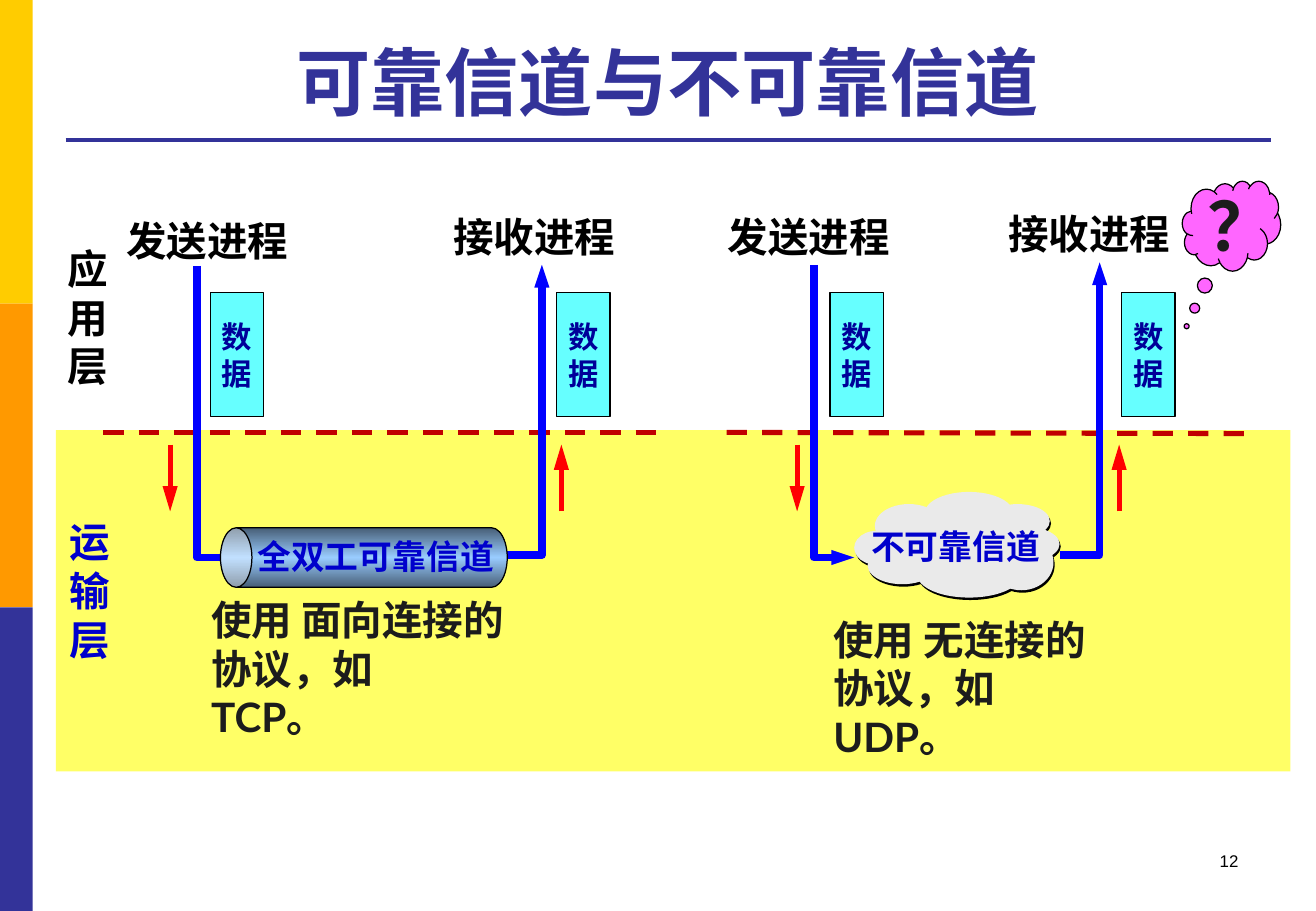
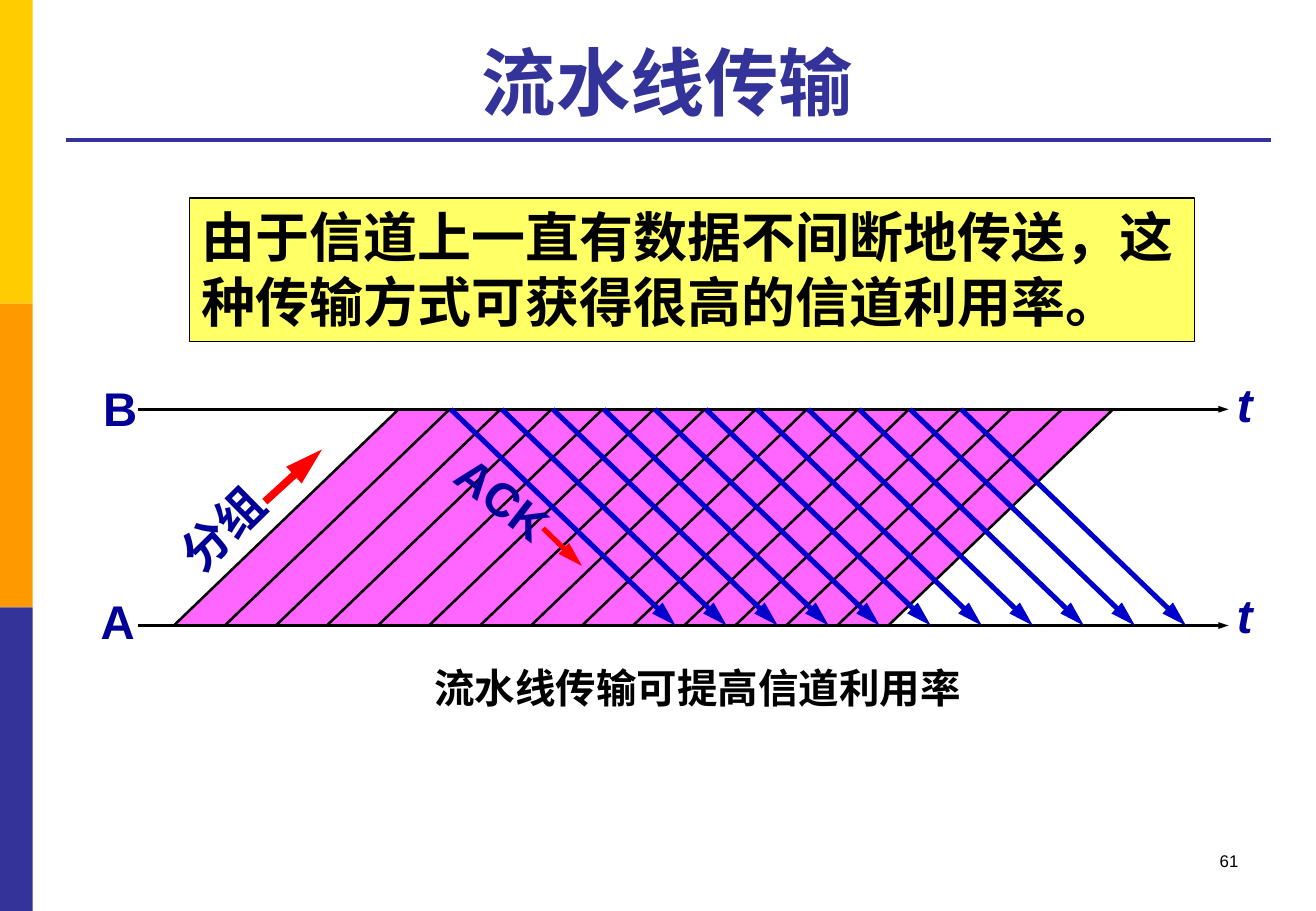
from copy import deepcopy

from pptx import Presentation
from pptx.dml.color import RGBColor
from pptx.enum.dml import MSO_LINE
from pptx.enum.shapes import MSO_CONNECTOR, MSO_SHAPE
from pptx.enum.text import MSO_ANCHOR, PP_ALIGN
from pptx.oxml.ns import qn
from pptx.util import Inches, Pt

RECT, OVAL, CAN = MSO_SHAPE.RECTANGLE, MSO_SHAPE.OVAL, MSO_SHAPE.CAN
THOUGHT = MSO_SHAPE.CLOUD_CALLOUT
STRAIGHT, DASH = MSO_CONNECTOR.STRAIGHT, MSO_LINE.DASH
LEFT, CENTER, RIGHT = PP_ALIGN.LEFT, PP_ALIGN.CENTER, PP_ALIGN.RIGHT
TOP, MIDDLE, BOTTOM = MSO_ANCHOR.TOP, MSO_ANCHOR.MIDDLE, MSO_ANCHOR.BOTTOM

BLACK, INK, INDIGO, NAVY = "000000", "1C1C1C", "333399", "000099"
ROYAL, BLUE, RED, CRIMSON = "0000CC", "0000FF", "FF0000", "C00000"
YELLOW, PINK, CYAN, MIST = "FFFF66", "FF66FF", "66FFFF", "EAEAEA"
STEEL, SKY = "475E76", "99CCFF"
BAND_COLORS = ["FFCC00", "FF9900", INDIGO]
BAND_WIDTH, BAND_HEIGHT = 0.27, 2.5
LONG_HEAD = {"type": "triangle", "w": "med", "len": "lg"}
SLIM_HEAD = {"type": "triangle", "w": "sm", "len": "med"}

LAYER_LABELS = [
    (["应", "用", "层"], (0.46, 1.96, 0.54, 1.31), BLACK),
    (["运", "输", "层"], (0.47, 4.21, 0.54, 1.31), ROYAL),
]
PROCESS_LABELS = [
    ("发送进程", 0.94, 1.73),
    ("接收进程", 3.63, 1.7),
    ("发送进程", 5.89, 1.7),
    ("接收进程", 8.2, 1.67),
]
PROTOCOL_NOTES = [
    (["使用 面向连接的", "协议，如 \vTCP。"], (1.64, 4.85, 2.67, 0.91)),
    (["使用 无连接的", "协议，如 \vUDP。"], (6.76, 5.01, 2.72, 0.91)),
]
BOUNDARIES = [((0.85, 3.56), (5.43, 3.56)), ((5.98, 3.56), (10.32, 3.57))]
DATA_ROUTES = [
    [(1.62, 2.19), (1.62, 4.59), (2.02, 4.59)],
    [(4.06, 4.57), (4.46, 4.57), (4.46, 2.18)],
    [(6.7, 2.18), (6.7, 4.59), (7.03, 4.59)],
    [(8.72, 4.57), (9.05, 4.57), (9.05, 2.16)],
]
DATA_LABEL = "数\v据"
DATA_LEFTS = [1.73, 4.58, 6.83, 9.23]
DOWN_ARROWS, UP_ARROWS = [1.4, 6.56], [4.62, 9.21]
ARROW_TOP, ARROW_BOTTOM = 3.66, 4.21
CLOUD_PUFFS = [
    (7.61, 4.05, 0.73, 0.35),
    (7.2, 4.15, 0.56, 0.36),
    (7.03, 4.37, 0.37, 0.28),
    (7.14, 4.5, 0.57, 0.31),
    (7.55, 4.55, 0.85, 0.37),
    (8.11, 4.15, 0.53, 0.28),
    (8.19, 4.34, 0.53, 0.28),
    (8.14, 4.4, 0.53, 0.46),
    (7.34, 4.26, 1.1, 0.46),
]
CLOUD_LAYERS = [(BLACK, 0.01, 0.02), (MIST, 0, 0)]

AXIS_B, AXIS_A = 3.37, 5.15
PACKET_COUNT, PACKET_START = 15, 1.43
ACK_COUNT, ACK_START = 11, 3.71
STEP, TRAVEL = 0.42, 1.85
PACKET_END = PACKET_START + (PACKET_COUNT - 1) * STEP
PACKET_AREA = [
    (PACKET_START, AXIS_A),
    (PACKET_START + TRAVEL, AXIS_B),
    (PACKET_END + TRAVEL, AXIS_B),
    (PACKET_END, AXIS_A),
]
AXIS_LABELS = [
    ("B", (0.75, 3.07, 0.49, 0.57), False),
    ("A", (0.73, 4.83, 0.49, 0.57), False),
    ("t", (10.08, 3.04, 0.33, 0.57), True),
    ("t", (10.08, 4.78, 0.33, 0.57), True),
]
TILTED_LABELS = [
    ("分组", (1.34, 4.06, 0.99, 0.57), 315.3),
    ("ACK", (3.62, 3.82, 1.05, 0.57), 37.8),
]
DIRECTION_ARROWS = [((2.18, 4.13), (2.65, 3.7), 4.5), ((4.47, 4.35), (4.79, 4.66), 3)]
BENEFIT = "由于信道上一直有数据不间断地传送，这种传输方式可获得很高的信道利用率。"
CAPTION = "流水线传输可提高信道利用率"


def rgb(value):
    return RGBColor.from_string(value)


def lengths(values):
    return [Inches(value) for value in values]


def write(shape, lines, size, color, font="Arial", bold=True, italic=False,
          align=LEFT, anchor=TOP, wrap=True):
    frame = shape.text_frame
    frame.word_wrap = wrap
    frame.vertical_anchor = anchor
    frame.text = "\n".join(lines)
    for para in frame.paragraphs:
        para.alignment = align
        for span in para.runs:
            span.font.name = font
            span.font.size = Pt(size)
            span.font.bold = bold
            span.font.italic = italic
            span.font.color.rgb = rgb(color)


def add_text(page, lines, at, size, color, **options):
    box = page.shapes.add_textbox(*lengths(at))
    write(box, lines, size, color, **options)
    return box


def paint(shape, fill=None, line=None, width=0.75):
    shape.shadow.inherit = False
    if fill:
        shape.fill.solid()
        shape.fill.fore_color.rgb = rgb(fill)
    else:
        shape.fill.background()
    if line:
        shape.line.color.rgb = rgb(line)
        shape.line.width = Pt(width)
    else:
        shape.line.fill.background()


def add_box(page, kind, at, fill, line=None):
    box = page.shapes.add_shape(kind, *lengths(at))
    paint(box, fill, line)
    return box


def point_at_end(shape, head):
    outline = shape.line._get_or_add_ln()
    outline.append(outline.makeelement(qn("a:tailEnd"), head))


def add_line(page, start, end, color, width, head=None, dash=None):
    line = page.shapes.add_connector(STRAIGHT, *lengths(start + end))
    line.line.color.rgb = rgb(color)
    line.line.width = Pt(width)
    if dash:
        line.line.dash_style = dash
    if head:
        point_at_end(line, head)
    properties = line._element.spPr
    properties.append(properties.makeelement(qn("a:effectLst"), {}))


def add_outline(page, points, closed, **colors):
    first, *others = [lengths(point) for point in points]
    builder = page.shapes.build_freeform(*first)
    builder.add_line_segments(others, close=closed)
    outline = builder.convert_to_shape()
    paint(outline, **colors)
    return outline


def add_page(deck, title, number):
    page = deck.slides.add_slide(deck.slide_layouts[6])
    for index, color in enumerate(BAND_COLORS):
        add_box(page, RECT, (0, index * BAND_HEIGHT, BAND_WIDTH, BAND_HEIGHT), color)
    add_line(page, (0.54, 1.15), (10.46, 1.15), INDIGO, 2.25)
    add_text(page, [title], (0.54, 0.21, 9.91, 0.87), 44, INDIGO,
             align=CENTER, anchor=BOTTOM)
    add_text(page, [number], (7.76, 6.95, 2.53, 0.5), 10, BLACK,
             bold=False, align=RIGHT)
    return page


def add_pipe(page):
    pipe = add_box(page, CAN, (2.75, 3.41, 0.49, 2.36), SKY, BLACK)
    pipe.rotation = 270
    pipe.adjustments[0] = 0.528
    pipe.fill.gradient()
    pipe.fill.gradient_angle = 0
    stop_list = pipe._element.spPr.find(".//" + qn("a:gsLst"))
    stop_list.append(deepcopy(stop_list[0]))
    stops = zip(pipe.fill.gradient_stops, (0, 0.5, 1), (STEEL, SKY, STEEL))
    for stop, position, color in stops:
        stop.position = position
        stop.color.rgb = rgb(color)
    add_text(page, ["全双工可靠信道"], (2.02, 4.36, 2.16, 0.43), 20, ROYAL,
             font="Lato", wrap=False)


def add_cloud(page):
    for color, shift_x, shift_y in CLOUD_LAYERS:
        for left, top, width, height in CLOUD_PUFFS:
            add_box(page, OVAL, (left + shift_x, top + shift_y, width, height), color)
    add_text(page, ["不可靠信道"], (7.07, 4.28, 1.61, 0.44), 20, ROYAL,
             font="Lato", wrap=False)


def build_channels(deck):
    page = add_page(deck, "可靠信道与不可靠信道", "12")
    add_box(page, RECT, (0.46, 3.54, 10.16, 2.81), YELLOW)
    thought = add_box(page, THOUGHT, (9.73, 1.49, 0.81, 0.74), PINK, BLACK)
    thought.adjustments[0], thought.adjustments[1] = -0.456, 1.116
    add_text(page, ["？"], (9.84, 1.47, 0.43, 0.77), 40, INK, font="Lato")
    for start, end in BOUNDARIES:
        add_line(page, start, end, CRIMSON, 3, dash=DASH)
    for lines, at, color in LAYER_LABELS:
        add_text(page, lines, at, 24, color, font="Lato", wrap=False)
    for points in DATA_ROUTES:
        route = add_outline(page, points, False, line=BLUE, width=4.5)
        point_at_end(route, SLIM_HEAD)
    add_pipe(page)
    add_cloud(page)
    for lines, at in PROTOCOL_NOTES:
        add_text(page, lines, at, 24, INK, font="Lato", wrap=False)
    for x in DOWN_ARROWS:
        add_line(page, (x, ARROW_TOP), (x, ARROW_BOTTOM), RED, 3, LONG_HEAD)
    for x in UP_ARROWS:
        add_line(page, (x, ARROW_BOTTOM), (x, ARROW_TOP), RED, 3, LONG_HEAD)
    for label, left, top in PROCESS_LABELS:
        add_text(page, [label], (left, top, 1.63, 0.5), 24, BLACK, font="Lato")
    for left in DATA_LEFTS:
        data = add_box(page, RECT, (left, 2.41, 0.44, 1.02), CYAN, BLACK)
        write(data, [DATA_LABEL], 18, NAVY, align=CENTER, anchor=MIDDLE, wrap=False)


def build_pipeline(deck):
    page = add_page(deck, "流水线传输", "61")
    add_outline(page, PACKET_AREA, True, fill=PINK)
    for y in (AXIS_A, AXIS_B):
        add_line(page, (1.14, y), (10.11, y), BLACK, 1.5, SLIM_HEAD)
    for index in range(PACKET_COUNT):
        x = PACKET_START + index * STEP
        add_line(page, (x, AXIS_A), (x + TRAVEL, AXIS_B), BLACK, 1.5)
    for label, at, italic in AXIS_LABELS:
        add_text(page, [label], at, 28, NAVY, italic=italic, wrap=False)
    for label, at, angle in TILTED_LABELS:
        add_text(page, [label], at, 28, NAVY, wrap=False).rotation = angle
    for start, end, width in DIRECTION_ARROWS:
        add_line(page, start, end, RED, width, LONG_HEAD)
    for index in range(ACK_COUNT):
        x = ACK_START + index * STEP
        add_line(page, (x, AXIS_B), (x + TRAVEL, AXIS_A), ROYAL, 3, LONG_HEAD)
    benefit = add_box(page, RECT, (1.56, 1.63, 8.27, 1.18), YELLOW, BLACK)
    write(benefit, [BENEFIT], 32, BLACK)
    add_text(page, [CAPTION], (2.15, 5.41, 7.18, 0.5), 24, BLACK, align=CENTER)


def main():
    deck = Presentation()
    deck.slide_width, deck.slide_height = Inches(10.83), Inches(7.5)
    build_channels(deck)
    build_pipeline(deck)
    deck.save("out.pptx")


if __name__ == "__main__":
    main()
